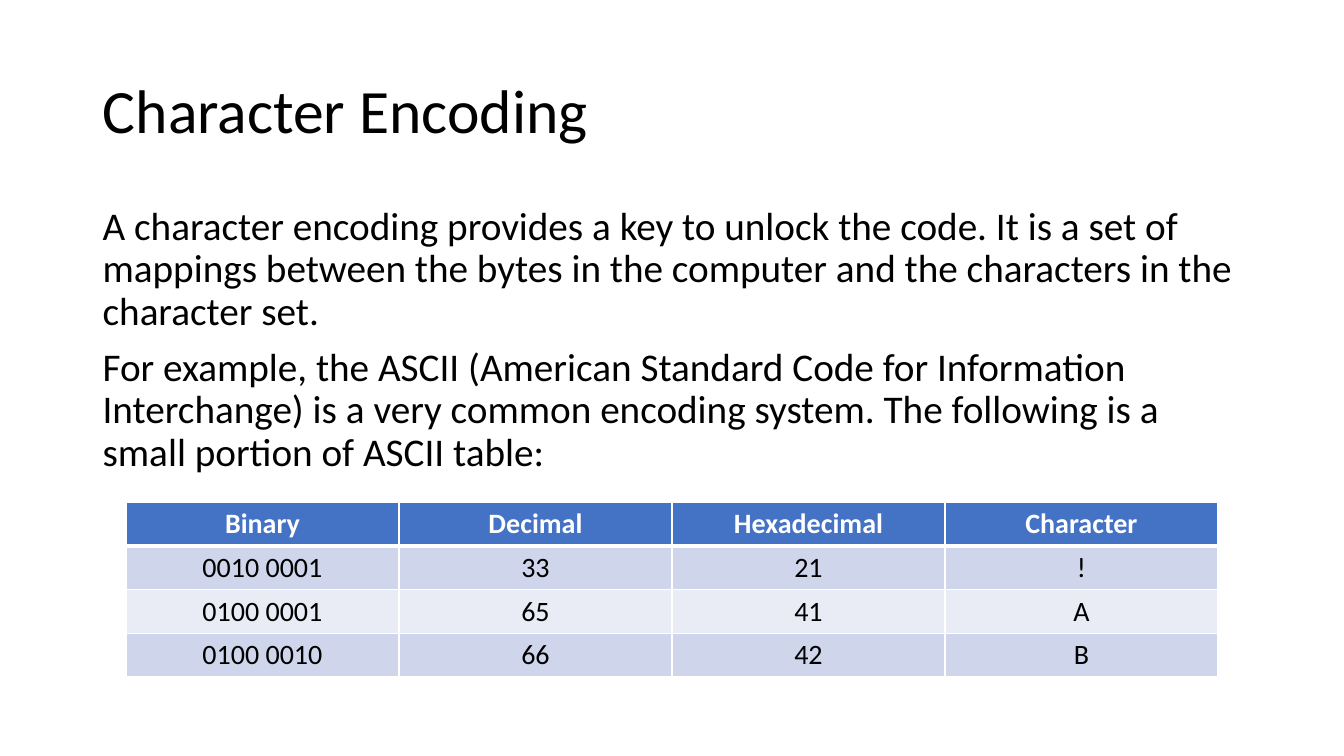
from dataclasses import dataclass

import lxml.etree
import pptx
import pptx.dml.color
import pptx.enum.text
import pptx.oxml.ns
import pptx.table
import pptx.text.text
import pptx.util

Inches = pptx.util.Inches
Pt = pptx.util.Pt
Anchor = pptx.enum.text.MSO_ANCHOR
Align = pptx.enum.text.PP_ALIGN
qn = pptx.oxml.ns.qn


@dataclass(frozen=True)
class Row:
    texts: tuple[str, ...]
    fill: str
    color: str = "000000"
    bold: bool = False
    bottom: float = 1
    top: float = 1


TITLE = "Character Encoding"
BODY = (
    "A character encoding provides a key to unlock the code. It is a set of mappings "
    "between the bytes in the computer and the characters in the character set.",
    "For example, the ASCII (American Standard Code for Information Interchange) is a very "
    "common encoding system. The following is a small portion of ASCII table:",
)
ROWS = (
    Row(("Binary", "Decimal", "Hexadecimal", "Character"), "4472C4", "FFFFFF", True, bottom=3),
    Row(("0010 0001", "33", "21", "!"), "CFD5EA", top=3),
    Row(("0100 0001", "65", "41", "A"), "E9EBF5"),
    Row(("0100 0010", "66", "42", "B"), "CFD5EA"),
)


def rgb(value: str) -> pptx.dml.color.RGBColor:
    return pptx.dml.color.RGBColor.from_string(value)


def style_paragraph(p: pptx.text.text._Paragraph, size: float, align: Align,
                    color: str = "000000", bold: bool = False) -> None:
    p.alignment = align
    p.font.name = "Calibri"
    p.font.size = Pt(size)
    p.font.bold = bold
    p.font.color.rgb = rgb(color)


def set_borders(cell: pptx.table._Cell, row: Row) -> None:
    tc_pr = cell._tc.get_or_add_tcPr()
    widths = {"a:lnL": 1, "a:lnR": 1, "a:lnT": row.top, "a:lnB": row.bottom}
    for i, (tag, width) in enumerate(widths.items()):
        ln = lxml.etree.Element(qn(tag), w=str(Pt(width)))
        fill = lxml.etree.SubElement(ln, qn("a:solidFill"))
        lxml.etree.SubElement(fill, qn("a:srgbClr"), val="FFFFFF")
        tc_pr.insert(i, ln)


def fill_cell(cell: pptx.table._Cell, text: str, row: Row) -> None:
    cell.text = text
    cell.vertical_anchor = Anchor.MIDDLE
    cell.fill.solid()
    cell.fill.fore_color.rgb = rgb(row.fill)
    style_paragraph(cell.text_frame.paragraphs[0], 20, Align.CENTER, row.color, row.bold)
    set_borders(cell, row)


def main() -> None:
    prs = pptx.Presentation()
    prs.slide_width, prs.slide_height = Inches(13.33), Inches(7.5)
    s = prs.slides.add_slide(prs.slide_layouts[5])

    title = s.shapes.title
    title.left, title.top = Inches(0.92), Inches(0.4)
    title.width, title.height = Inches(11.5), Inches(1.45)
    tf = title.text_frame
    tf.text = TITLE
    tf.auto_size = pptx.enum.text.MSO_AUTO_SIZE.NONE
    tf.vertical_anchor = Anchor.MIDDLE
    p = tf.paragraphs[0]
    p.line_spacing = 0.9
    style_paragraph(p, 44, Align.LEFT)

    body = s.shapes.add_textbox(Inches(0.92), Inches(2), Inches(11.5), Inches(4.83))
    tf = body.text_frame
    tf.word_wrap = True
    tf.text = "\n".join(BODY)
    for i, p in enumerate(tf.paragraphs):
        p.line_spacing = 0.9
        p.space_before = Pt(10 if i else 0)
        style_paragraph(p, 28, Align.LEFT)

    table = s.shapes.add_table(len(ROWS), len(ROWS[0].texts), Inches(1.25), Inches(4.98),
                               Inches(10.83), Inches(1.73)).table
    for i, row in enumerate(ROWS):
        for j, text in enumerate(row.texts):
            fill_cell(table.cell(i, j), text, row)

    prs.save("out.pptx")


if __name__ == "__main__":
    main()
